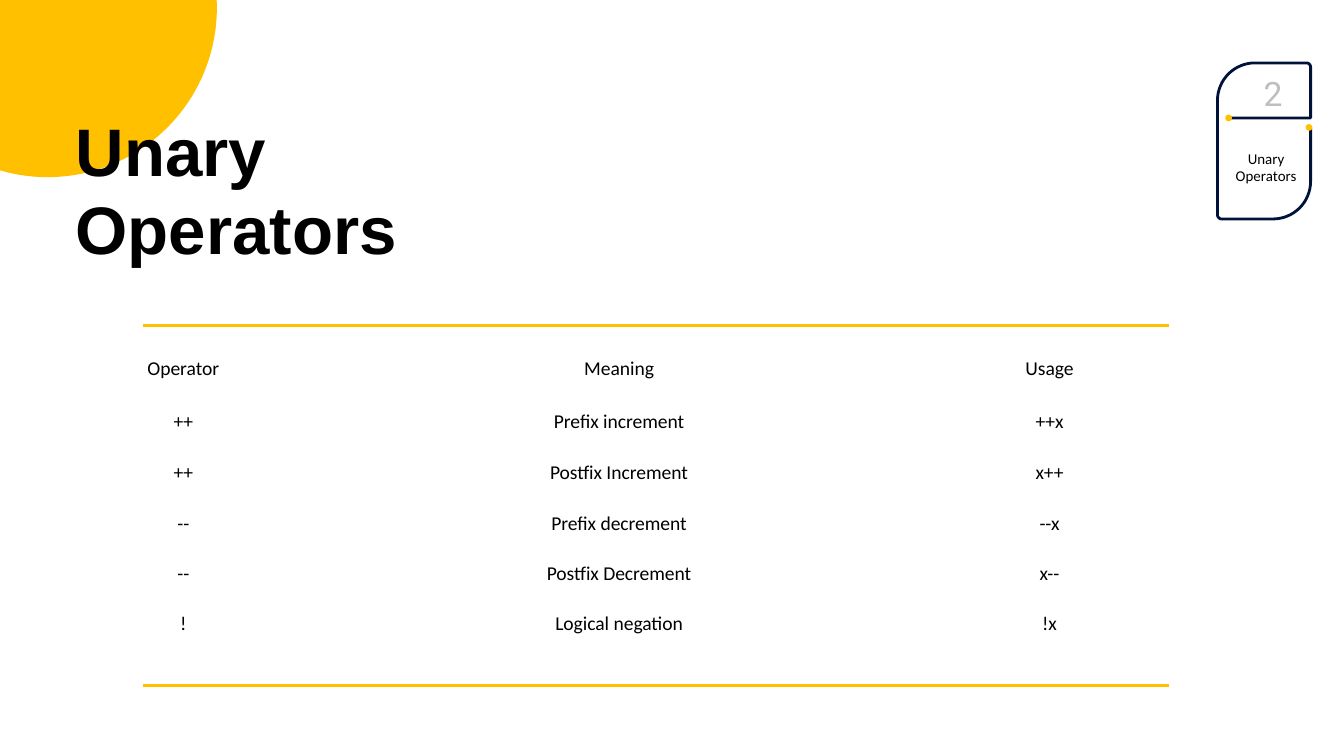
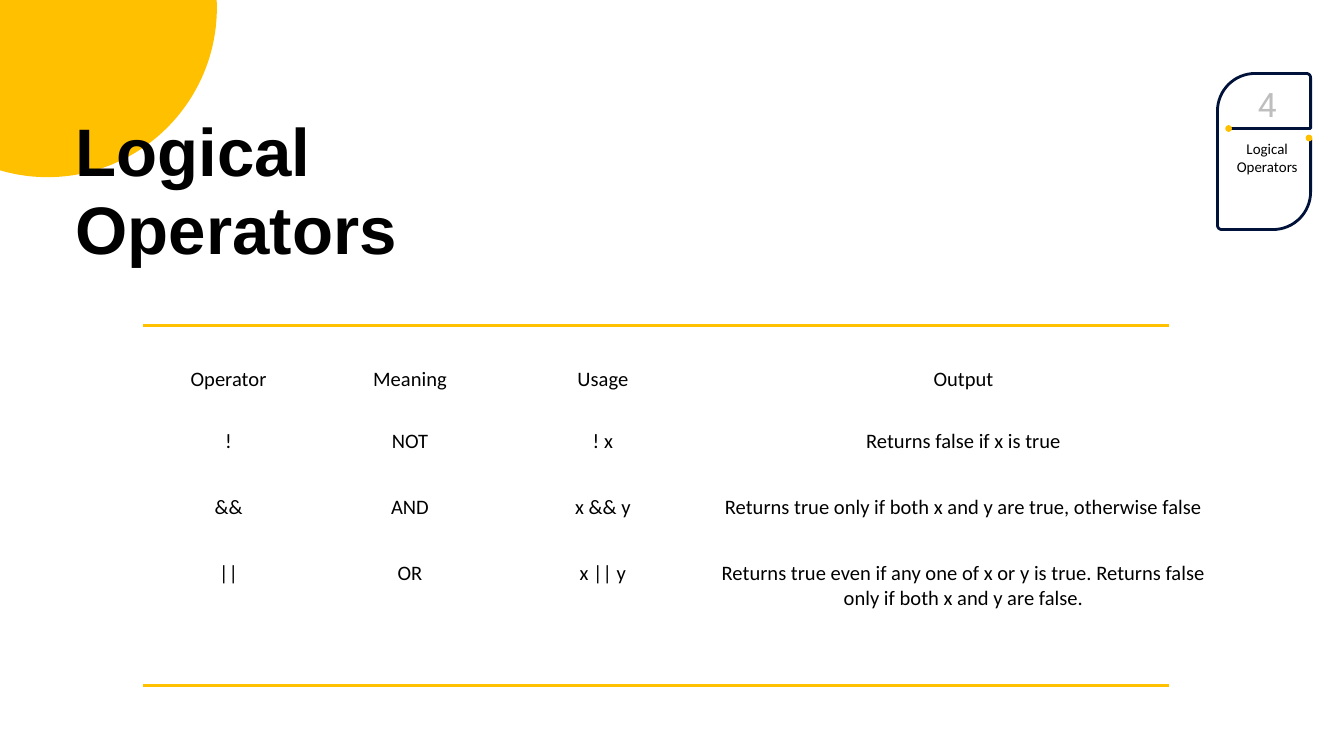
"""Two slides on unary and logical operators, each with a badge and a table."""
from math import acos, asin, cos, degrees, radians, sin
from pptx import Presentation
from pptx.dml.color import RGBColor
from pptx.enum import shapes, text
from pptx.oxml import ns, xmlchemy
from pptx.util import Cm, Pt

hue = RGBColor.from_string
GOLD, NAVY, GREY, BLACK = "FFC000", "001239", "BEBEBE", "000000"
MID, LEFT = text.PP_ALIGN.CENTER, text.PP_ALIGN.LEFT
PLAIN = "{2D5ABB26-0587-4C30-8999-92F81FD0307C}"


def write(frame, words, more=False, size=8, font="Calibri", color=BLACK,
          bold=False, align=MID, line=None, gap=0):
    for i, part in enumerate(words.split("\n")):
        para = frame.add_paragraph() if more or i else frame.paragraphs[0]
        para.alignment, para.space_before = align, Pt(gap)
        if line:
            para.line_spacing = Pt(line)
        run = para.add_run()
        run.text = part
        run.font.name, run.font.size, run.font.bold = font, Pt(size), bold
        run.font.color.rgb = hue(color)


def arc(x, y, r, start, end, steps=16):
    turns = [radians(start + (end - start) * i / steps) for i in range(steps + 1)]
    return [(Cm(x + r * cos(a)), Cm(y + r * sin(a))) for a in turns]


NUM = dict(size=18, font="Roboto", color=GREY)
DECK = [
    dict(
        title="Unary Operators", top=1.19,
        notes=[(23.32, 2.79, 1.22, 0.76, [("Unary\nOperators", {})]),
               (23.85, 1.35, 0.42, 0.84, [("2", NUM)])],
        at=(2.7, 6.15), size=10.5, lead=None,
        cols=[(4.5, 0, 2.97), (9, 0, 0), (4.45, 2.82, 0)],
        rows=[(1.4, 0.6), (0.96, 0.2), (0.96, 0.2), (0.95, 0.2), (0.95, 0.2),
              (0.66, 0.2)],
        cells=[("Operator", "Meaning", "Usage"),
               ("++", "Prefix increment", "++x"),
               ("++", "Postfix Increment", "x++"),
               ("--", "Prefix decrement", "--x"),
               ("--", "Postfix Decrement", "x--"),
               ("!", "Logical negation", "!x")]),
    dict(
        title="Logical Operators", top=1.39,
        notes=[(23.34, 1.55, 1.22, 1.8,
                [("4", NUM), ("Logical Operators", dict(more=True, gap=8.6))])],
        at=(3.25, 7.05), size=11, lead=10.5,
        cols=[(2.8, 0, 0.66), (3.6, 0, 0.2), (3.13, 0.36, 0), (10.35, 0.76, 0.25)],
        rows=[(0.77, 0), (1.2, 0.29), (1.25, 0.33), (1.3, 0.33)],
        cells=[("Operator", "Meaning", "Usage", "Output"),
               ("!", "NOT", "! x", "Returns false if x is true"),
               ("&&", "AND", "x && y",
                "Returns true only if both x and y are true, otherwise false"),
               ("||", "OR", "x || y",
                "Returns true even if any one of x or y is true. "
                "Returns false only if both x and y are false.")]),
]

deck = Presentation()
deck.slide_width, deck.slide_height = Cm(25.4), Cm(14.29)

for page in DECK:
    slide = deck.slides.add_slide(deck.slide_layouts[6])
    draw = slide.shapes

    x, y, r = 0.9, 0.15, 3.2
    edge = arc(x, y, r, degrees(asin(-y / r)), degrees(acos(-x / r)), 48)
    pen = draw.build_freeform(0, 0)
    pen.add_line_segments(edge)
    disc = pen.convert_to_shape()
    disc.shadow.inherit = False
    disc.fill.solid()
    disc.fill.fore_color.rgb = hue(GOLD)
    disc.line.fill.background()

    head = dict(size=36, font="Arial", bold=True, align=LEFT, line=42.1)
    boxes = [(1.43, 2, 6.15, 3.07, [(page["title"], head)])] + page["notes"]

    for y in (6.15, 12.95):
        rule = draw.add_connector(shapes.MSO_CONNECTOR.STRAIGHT,
                                  Cm(2.7), Cm(y), Cm(22.1), Cm(y))
        rule.line.color.rgb, rule.line.width = hue(GOLD), Pt(1.5)
        rule.element.spPr.append(xmlchemy.OxmlElement("a:effectLst"))

    l, r, t = 23.01, 24.77, page["top"]
    b, bar = t + 2.95, t + 1.04
    big, small = 0.71, 0.08
    badge = draw.add_group_shape().shapes
    pen = badge.build_freeform(Cm(23.24), Cm(bar))
    pen.add_line_segments(
        [(Cm(r), Cm(bar))]
        + arc(r - small, t + small, small, 0, -90)
        + arc(l + big, t + big, big, -90, -180)
        + arc(l + small, b - small, small, 180, 90)
        + arc(r - big, b - big, big, 90, 0)
        + [(Cm(r), Cm(t + 1.24))], close=False)
    frame = pen.convert_to_shape()
    frame.shadow.inherit = False
    frame.fill.background()
    frame.line.color.rgb, frame.line.width = hue(NAVY), Pt(1.5)
    for x, y in ((24.74, t + 1.22), (23.22, bar)):
        dot = badge.add_shape(shapes.MSO_SHAPE.OVAL, Cm(x - 0.05), Cm(y - 0.05),
                              Cm(0.1), Cm(0.1))
        dot.shadow.inherit = False
        dot.fill.solid()
        dot.fill.fore_color.rgb = dot.line.color.rgb = hue(GOLD)
        dot.line.width = Pt(0.75)

    for x, y, w, h, lines in boxes:
        body = draw.add_textbox(Cm(x), Cm(y), Cm(w), Cm(h)).text_frame
        body.word_wrap = True
        body.margin_left = body.margin_right = body.margin_bottom = 0
        body.margin_top = Cm(0.1 if h > 3 else 0.03)
        for words, form in lines:
            write(body, words, **form)

    cols, rows = page["cols"], page["rows"]
    x, y = page["at"]
    grid = draw.add_table(len(rows), len(cols), Cm(x), Cm(y),
                          Cm(sum(c[0] for c in cols)), Cm(sum(r[0] for r in rows)))
    grid.element.find(".//" + ns.qn("a:tableStyleId")).text = PLAIN
    table = grid.table
    table.first_row = table.horz_banding = False
    for j, (wide, left, right) in enumerate(cols):
        table.columns[j].width = Cm(wide)
        for i, (high, pad) in enumerate(rows):
            table.rows[i].height = Cm(high)
            cell = table.cell(i, j)
            cell.fill.background()
            cell.margin_left, cell.margin_right = Cm(left), Cm(right)
            cell.margin_top, cell.margin_bottom = Cm(pad), 0
            write(cell.text_frame, page["cells"][i][j], size=page["size"],
                  line=None if i else page["lead"])

deck.save("out.pptx")
